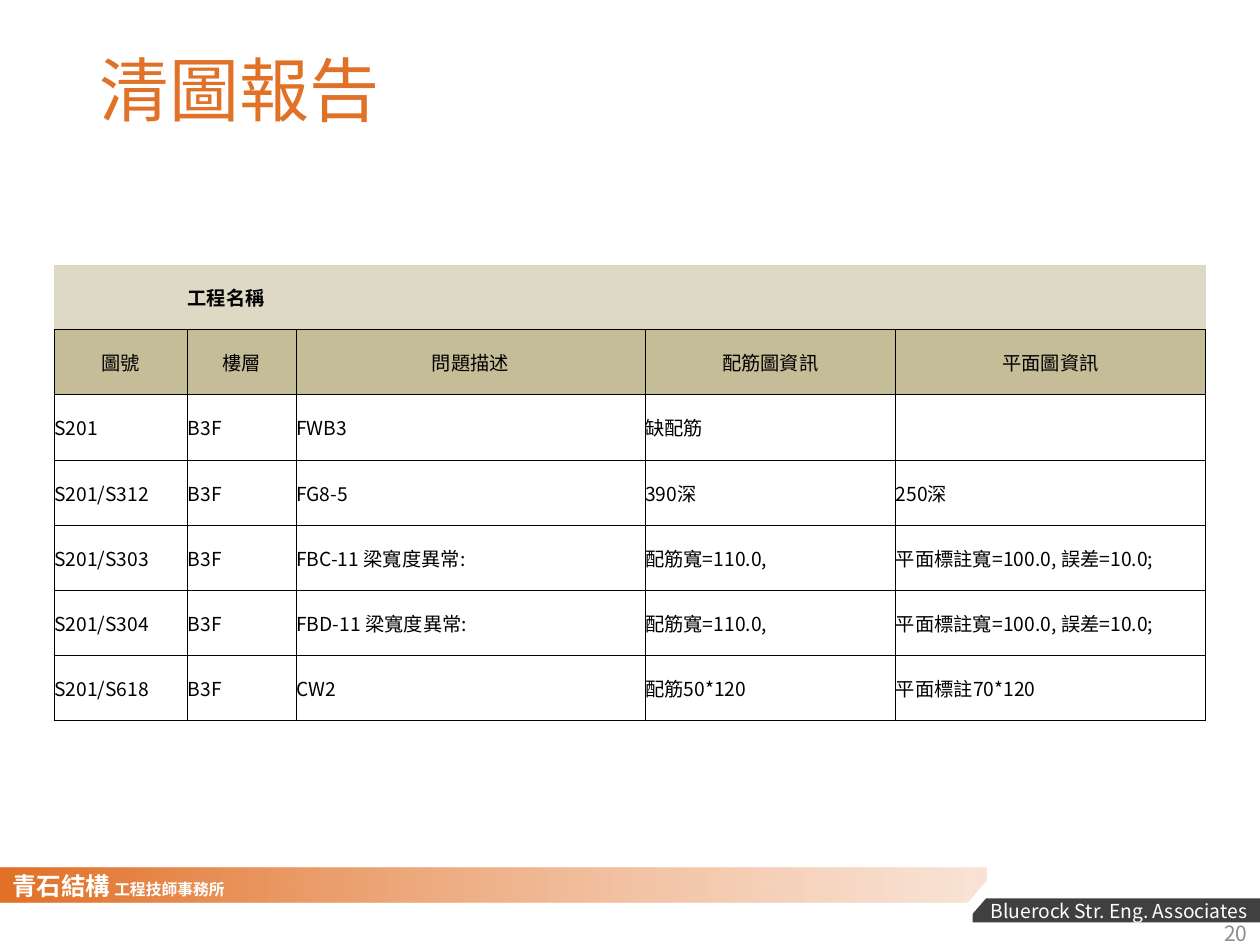
"""Build the drawing check report slide with its issue table and footer band."""
import dataclasses

import lxml.etree
import pptx
import pptx.dml.color
import pptx.enum.shapes
import pptx.enum.text
import pptx.oxml.ns
import pptx.util

Inches = pptx.util.Inches
Align = pptx.enum.text.PP_ALIGN
Anchor = pptx.enum.text.MSO_ANCHOR
Shape = pptx.enum.shapes.MSO_SHAPE
qn = pptx.oxml.ns.qn


@dataclasses.dataclass(frozen=True)
class Theme:
    font: str = "Noto Sans CJK SC"
    title: str = "E27128"
    band_start: str = "E27026"
    band_end: str = "F6D4BE"
    dark: str = "404040"
    white: str = "FFFFFF"
    grey: str = "8C8C8C"
    black: str = "000000"
    project_fill: str = "DDD9C4"
    header_fill: str = "C4BD97"
    title_size: int = 40
    firm_size: int = 14
    number_size: int = 12
    text_size: int = 11
    small_size: int = 9
    border_width: float = 0.5


theme = Theme()
rgb = pptx.dml.color.RGBColor.from_string


def add_run(para, text, size, color, bold=False):
    span = para.add_run()
    span.text = text
    span.font.name = theme.font
    span.font.size = pptx.util.Pt(size)
    span.font.bold = bold
    span.font.color.rgb = rgb(color)
    east_asian = lxml.etree.SubElement(span.font._element, qn("a:ea"))
    east_asian.set("typeface", theme.font)


def set_borders(cell, visible):
    properties = cell._tc.get_or_add_tcPr()
    for index, side in enumerate(("lnL", "lnR", "lnT", "lnB")):
        line = lxml.etree.Element(qn("a:" + side), w=str(pptx.util.Pt(theme.border_width)))
        if side in visible:
            fill = lxml.etree.SubElement(line, qn("a:solidFill"))
            lxml.etree.SubElement(fill, qn("a:srgbClr"), val=theme.black)
        else:
            lxml.etree.SubElement(line, qn("a:noFill"))
        properties.insert(index, line)


deck = pptx.Presentation()
deck.slide_width = Inches(10)
deck.slide_height = Inches(7.5)
page = deck.slides.add_slide(deck.slide_layouts[5])

footer_shapes = []
for kind, left, top, width, height in (
    (Shape.RECTANGLE, 0, 6.89, 7.83, 0.27),
    (Shape.RECTANGLE, 7.72, 7.13, 2.28, 0.19),
    (Shape.PARALLELOGRAM, 7.51, 6.94, 0.48, 0.42),
):
    shape = page.shapes.add_shape(kind, Inches(left), Inches(top), Inches(width), Inches(height))
    shape.shadow.inherit = False
    shape.line.fill.background()
    footer_shapes.append(shape)
band, name_bar, notch = footer_shapes

band.fill.gradient()
band.fill.gradient_angle = 0
start, end = band.fill.gradient_stops
start.color.rgb = rgb(theme.band_start)
start.position = 0
end.color.rgb = rgb(theme.band_end)
end.position = 0.99
end_color = band._element.spPr.findall(".//" + qn("a:srgbClr"))[-1]
lxml.etree.SubElement(end_color, qn("a:alpha"), val="64000")

name_bar.fill.solid()
name_bar.fill.fore_color.rgb = rgb(theme.dark)
name_bar.text_frame.vertical_anchor = Anchor.MIDDLE
para = name_bar.text_frame.paragraphs[0]
para.alignment = Align.RIGHT
add_run(para, "Bluerock Str. Eng. Associates", theme.text_size, theme.white)

notch.adjustments[0] = 0.87
notch.fill.solid()
notch.fill.fore_color.rgb = rgb(theme.white)

firm_box = page.shapes.add_textbox(Inches(0), Inches(6.86), Inches(4.42), Inches(0.49))
firm_box.text_frame.word_wrap = True
para = firm_box.text_frame.paragraphs[0]
add_run(para, "青石結構", theme.firm_size, theme.white, True)
add_run(para, " 工程技師事務所", theme.small_size, theme.white, True)

number_box = page.shapes.add_textbox(Inches(7.75), Inches(7.21), Inches(2.25), Inches(0.4))
number_box.text_frame.word_wrap = True
number_box.text_frame.vertical_anchor = Anchor.MIDDLE
para = number_box.text_frame.paragraphs[0]
para.alignment = Align.RIGHT
add_run(para, "20", theme.number_size, theme.grey)

title = page.shapes.title
title.left, title.top = Inches(0.69), Inches(0.4)
title.width, title.height = Inches(8.62), Inches(0.69)
title.text_frame.auto_size = pptx.enum.text.MSO_AUTO_SIZE.NONE
title.text_frame.vertical_anchor = Anchor.MIDDLE
para = title.text_frame.paragraphs[0]
para.alignment = Align.LEFT
para.line_spacing = 0.9
add_run(para, "清圖報告", theme.title_size, theme.title)

rows = (
    ("", "工程名稱", "", "", ""),
    ("圖號", "樓層", "問題描述", "配筋圖資訊", "平面圖資訊"),
    ("S201", "B3F", "FWB3", "缺配筋", ""),
    ("S201/S312", "B3F", "FG8-5", "390深", "250深"),
    ("S201/S303", "B3F", "FBC-11 梁寬度異常:", "配筋寬=110.0,", "平面標註寬=100.0, 誤差=10.0;"),
    ("S201/S304", "B3F", "FBD-11 梁寬度異常:", "配筋寬=110.0,", "平面標註寬=100.0, 誤差=10.0;"),
    ("S201/S618", "B3F", "CW2", "配筋50*120", "平面標註70*120"),
)
row_fills = {0: theme.project_fill, 1: theme.header_fill}
column_widths = (1.06, 0.86, 2.77, 1.99, 2.46)

frame = page.shapes.add_table(
    len(rows), len(column_widths), Inches(0.43), Inches(2.1), Inches(9.13), Inches(3.62)
)
table = frame.table
table.first_row = False
table.horz_banding = False
for column, width in zip(table.columns, column_widths):
    column.width = Inches(width)

for row_index, texts in enumerate(rows):
    table.rows[row_index].height = Inches(3.62 / len(rows))
    for column_index, text in enumerate(texts):
        cell = table.cell(row_index, column_index)
        cell.vertical_anchor = Anchor.MIDDLE
        cell.margin_left = cell.margin_right = cell.margin_top = cell.margin_bottom = 0
        if row_index in row_fills:
            cell.fill.solid()
            cell.fill.fore_color.rgb = rgb(row_fills[row_index])
        else:
            cell.fill.background()
        set_borders(cell, ("lnB",) if row_index == 0 else ("lnL", "lnR", "lnT", "lnB"))
        if text:
            para = cell.text_frame.paragraphs[0]
            para.alignment = Align.CENTER if row_index == 1 else Align.LEFT
            add_run(para, text, theme.text_size, theme.black, row_index == 0)

deck.save("out.pptx")
